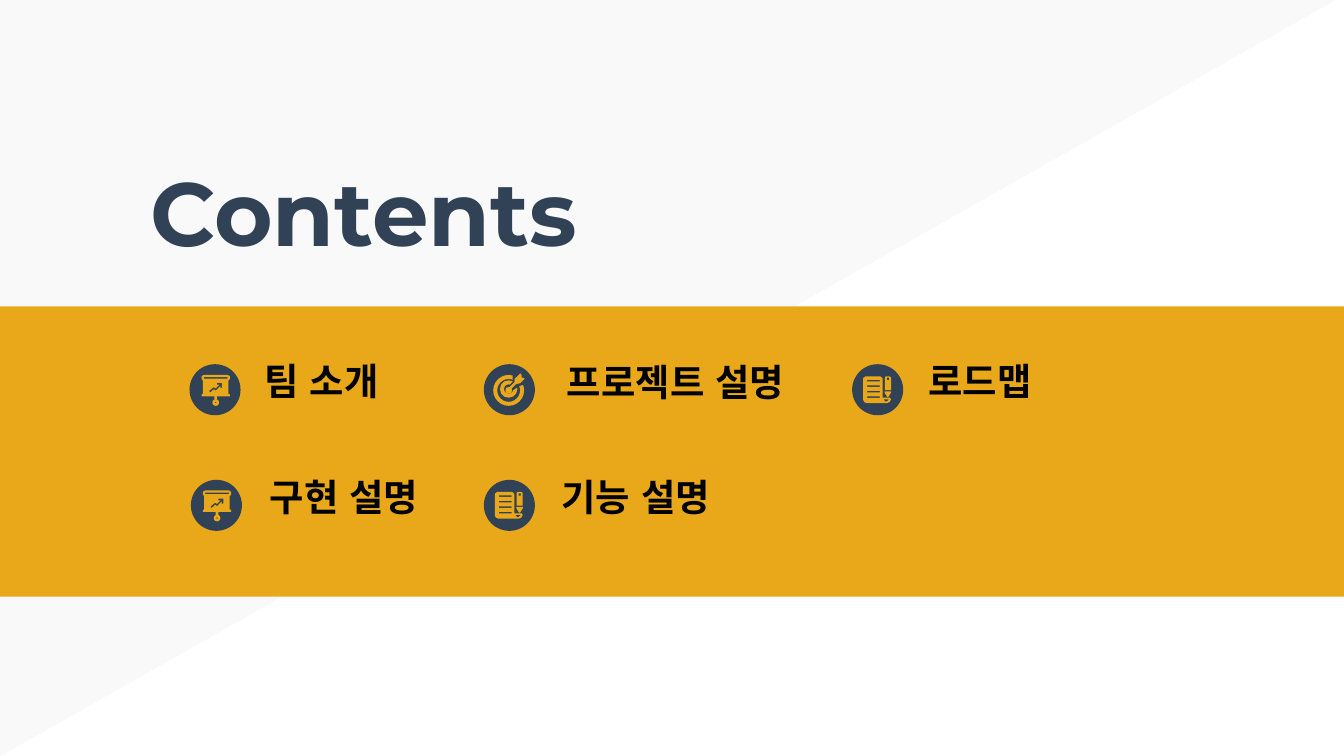
from dataclasses import dataclass

from lxml import etree
from pptx import Presentation
from pptx.dml.color import RGBColor
from pptx.enum.shapes import MSO_SHAPE as Preset
from pptx.enum.text import MSO_ANCHOR as Anchor
from pptx.oxml.ns import qn
from pptx.slide import Slide
from pptx.util import Inches, Pt

NAVY = RGBColor(0x31, 0x42, 0x56)
GOLD = RGBColor(0xE8, 0xA8, 0x1A)
PALE = RGBColor(0xED, 0xED, 0xEB)
BLACK = RGBColor(0, 0, 0)

ROW_TOPS = (2.71, 3.57)
BADGE_SIZE = 0.38
MIL = Inches(1) / 1000

BOARD = [
    [(105, 80), (285, 80), (300, 90), (300, 110), (290, 122), (290, 220),
     (300, 225), (300, 240), (205, 240), (205, 262), (185, 262), (185, 240),
     (90, 240), (90, 225), (100, 220), (100, 122), (90, 110), (90, 90)],
    [(108, 96), (282, 96), (285, 102), (282, 108), (108, 108), (105, 102)],
    [(146, 200), (182, 170), (194, 181), (222, 153), (205, 153), (205, 140),
     (242, 140), (242, 177), (230, 177), (230, 162), (195, 197), (182, 186),
     (155, 211)],
]
ARROW_GAP = [(215, 65), (300, 65), (300, 150), (260, 165), (200, 205),
             (170, 180), (215, 130)]
ARROW = [(272, 68), (280, 78), (282, 100), (302, 102), (302, 110), (270, 142),
         (240, 148), (195, 192), (182, 180), (228, 134), (230, 108)]
PAGE = [(100, 90), (210, 90), (228, 105), (228, 250), (282, 250), (290, 262),
        (280, 282), (260, 290), (110, 290), (90, 282), (82, 265), (82, 105)]
PAGE_FOLD = [(235, 262), (275, 262), (260, 278), (247, 278)]
PENCIL_TIP = [(242, 202), (290, 202), (290, 212), (270, 244), (262, 244), (242, 212)]
PENCIL = [[(250, 90), (280, 90), (290, 100), (290, 192), (245, 192), (245, 100)],
          [(260, 101), (276, 101), (276, 118), (260, 118)]]

ITEMS = (
    ("팀 소개", "board", 1.41, 0, 1.87, 2.70, 1.15),
    ("프로젝트 설명", "target", 3.60, 0, 4.12, 2.71, 1.0),
    ("로드맵", "notes", 6.34, 0, 6.81, 2.70, 1.0),
    ("구현 설명", "board", 1.42, 1, 1.91, 3.56, 1.0),
    ("기능 설명", "notes", 3.60, 1, 4.08, 3.56, 1.0),
)


@dataclass
class ContentsSlide:
    """Hold the style and the slide that its elements are added to."""

    slide: Slide
    font_name: str = "Montserrat"
    inset: float = 0.1

    def paint(self, shape, color):
        shape.shadow.inherit = False
        shape.fill.solid()
        shape.fill.fore_color.rgb = color
        shape.line.fill.background()
        return shape

    def preset(self, kind, left, top, width, height, color):
        shape = self.slide.shapes.add_shape(
            kind, Inches(left), Inches(top), Inches(width), Inches(height))
        return self.paint(shape, color)

    def outline(self, left, top, contours, color):
        first, *others = contours
        builder = self.slide.shapes.build_freeform(*first[0], scale=MIL)
        builder.add_line_segments(first[1:])
        for contour in others:
            builder.move_to(*contour[0])
            builder.add_line_segments(contour[1:])
        shape = builder.convert_to_shape(Inches(left), Inches(top))
        return self.paint(shape, color)

    def ring(self, left, top, size, thickness):
        shape = self.preset(Preset.DONUT, left, top, size, size, GOLD)
        shape.adjustments[0] = thickness / size

    def text(self, words, left, top, width, height, size, color, spacing=1.0):
        box = self.slide.shapes.add_textbox(
            Inches(left), Inches(top), Inches(width), Inches(height))
        frame = box.text_frame
        frame.word_wrap = True
        frame.vertical_anchor = Anchor.BOTTOM
        frame.margin_left = frame.margin_right = Inches(self.inset)
        frame.margin_top = frame.margin_bottom = Inches(self.inset)
        paragraph = frame.paragraphs[0]
        paragraph.line_spacing = spacing
        run = paragraph.add_run()
        run.text = words
        run.font.name = self.font_name
        run.font.size = Pt(size)
        run.font.bold = True
        run.font.color.rgb = color
        etree.SubElement(run.font._element, qn("a:ea"), typeface=self.font_name)

    def backdrop(self):
        triangle = self.outline(-0.02, 0, [[(0, 0), (9960, 0), (0, 5640)]], PALE)
        fill_color = triangle.fill._xPr.find(qn("a:solidFill"))[0]
        etree.SubElement(fill_color, qn("a:alpha"), val="28000")
        self.preset(Preset.RECTANGLE, -0.02, 2.28, 10.05, 2.16, GOLD)

    def board(self, left, top):
        self.outline(left, top, BOARD, GOLD)
        self.ring(left + 0.17, top + 0.26, 0.05, 0.02)

    def target(self, left, top):
        self.ring(left + 0.07, top + 0.08, 0.23, 0.03)
        self.ring(left + 0.12, top + 0.12, 0.13, 0.03)
        self.outline(left, top, [ARROW_GAP], NAVY)
        self.preset(Preset.OVAL, left + 0.16, top + 0.17, 0.05, 0.05, GOLD)
        self.outline(left, top, [ARROW], GOLD)

    def notes(self, left, top):
        rules = [[(112, y), (208, y), (208, y + 11), (112, y + 11)]
                 for y in range(117, 250, 41)]
        self.outline(left, top, [PAGE, PAGE_FOLD, *rules], GOLD)
        self.outline(left, top, [PENCIL_TIP], GOLD)
        self.outline(left, top, PENCIL, GOLD)

    def badge(self, icon, left, top):
        self.preset(Preset.OVAL, left, top, BADGE_SIZE, BADGE_SIZE, NAVY)
        icons = {"board": self.board, "target": self.target, "notes": self.notes}
        icons[icon](left, top)


def main():
    presentation = Presentation()
    presentation.slide_width = Inches(10)
    presentation.slide_height = Inches(10 * 9 / 16)
    contents = ContentsSlide(
        presentation.slides.add_slide(presentation.slide_layouts[6]))
    contents.backdrop()
    contents.text("Contents", 1.02, 1.27, 8.6, 0.8, 48, NAVY, 1.15)
    for words, icon, badge_left, row, text_left, text_top, spacing in ITEMS:
        contents.badge(icon, badge_left, ROW_TOPS[row])
        contents.text(words, text_left, text_top, 2.07, 0.4, 20, BLACK, spacing)
    presentation.save("out.pptx")


if __name__ == "__main__":
    main()
